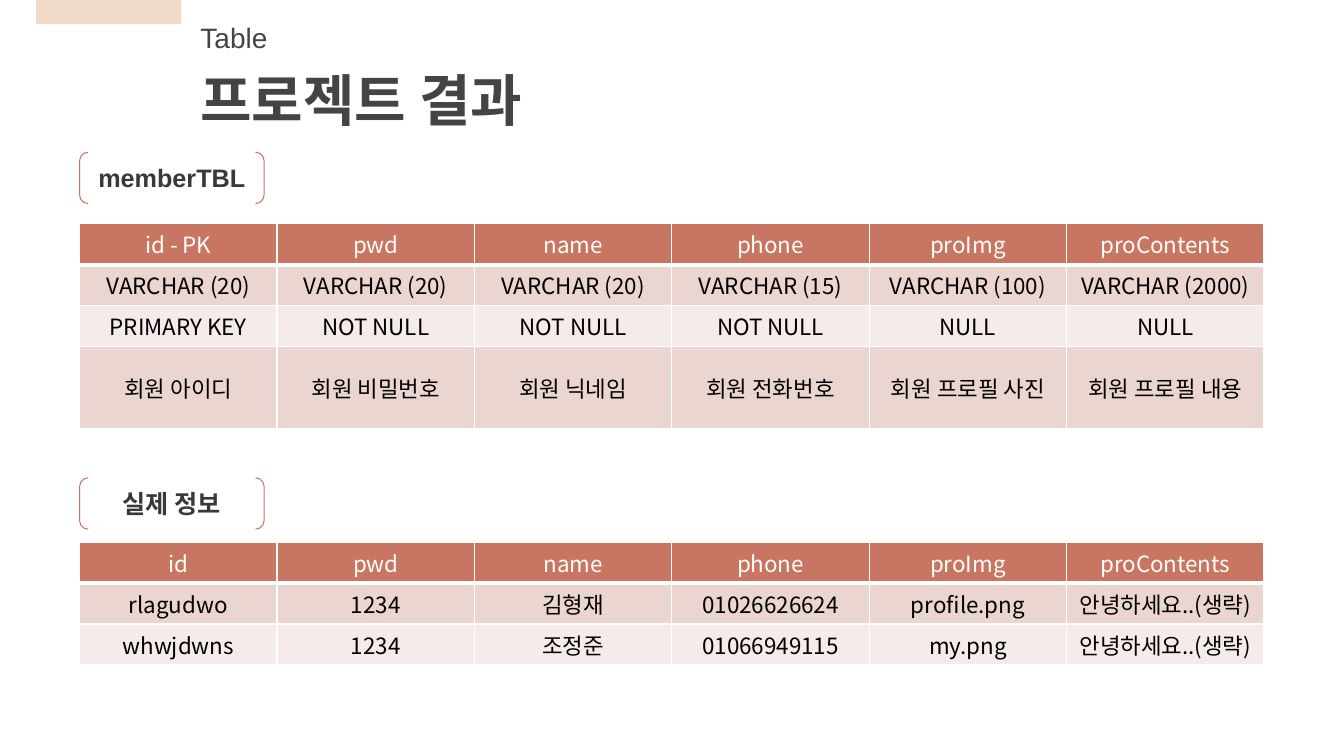
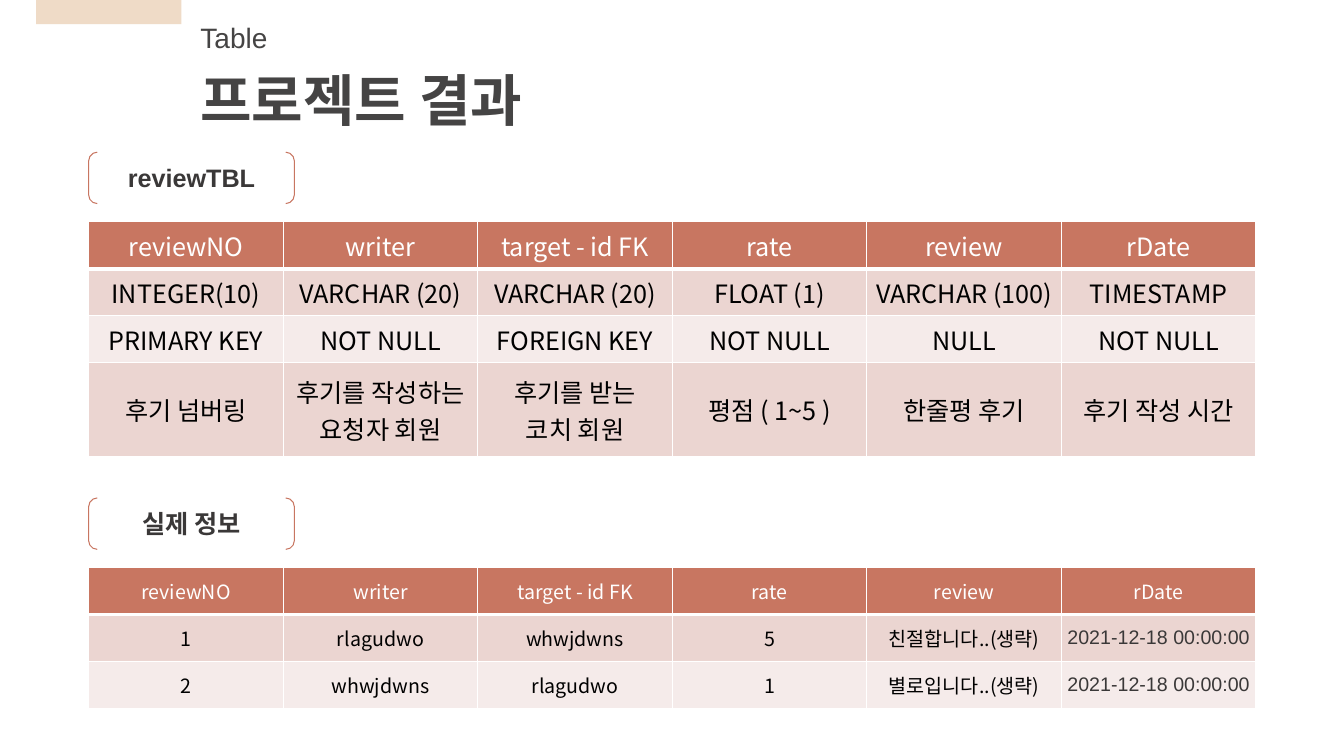
"""Builds two slides that document database tables and their sample rows."""
import pptx
import pptx.dml.color
import pptx.enum.shapes
import pptx.enum.text
import pptx.oxml
import pptx.oxml.ns
import pptx.util

RGBColor = pptx.dml.color.RGBColor
MSO_SHAPE = pptx.enum.shapes.MSO_SHAPE
PP_ALIGN = pptx.enum.text.PP_ALIGN
MSO_ANCHOR = pptx.enum.text.MSO_ANCHOR
Pt = pptx.util.Pt

WHITE = RGBColor(0xFF, 0xFF, 0xFF)
BLACK = RGBColor(0x00, 0x00, 0x00)
SAND = RGBColor(0xEF, 0xDB, 0xC7)
CLAY = RGBColor(0xC8, 0x76, 0x61)
BAND_DARK = RGBColor(0xEB, 0xD5, 0xD1)
BAND_LIGHT = RGBColor(0xF5, 0xEB, 0xEA)
TITLE_GREY = RGBColor(0x45, 0x44, 0x44)
TEXT_GREY = RGBColor(0x3A, 0x38, 0x38)

LATIN_FONT = "Arial"
KOREAN_FONT = "Noto Sans CJK KR"
GRID_COLUMNS, GRID_ROWS = 160, 90
TITLE_ONLY = 5
HEADING_LEFT = 22.68
LABEL_HEIGHT = 6.12

MEMBER_FIELDS = [
    ["id - PK", "pwd", "name", "phone", "proImg", "proContents"],
    ["VARCHAR (20)", "VARCHAR (20)", "VARCHAR (20)", "VARCHAR (15)", "VARCHAR (100)", "VARCHAR (2000)"],
    ["PRIMARY KEY", "NOT NULL", "NOT NULL", "NOT NULL", "NULL", "NULL"],
    ["회원 아이디", "회원 비밀번호", "회원 닉네임", "회원 전화번호", "회원 프로필 사진", "회원 프로필 내용"],
]
MEMBER_ROWS = [
    ["id", "pwd", "name", "phone", "proImg", "proContents"],
    ["rlagudwo", "1234", "김형재", "01026626624", "profile.png", "안녕하세요..(생략)"],
    ["whwjdwns", "1234", "조정준", "01066949115", "my.png", "안녕하세요..(생략)"],
]
REVIEW_HEADER = ["reviewNO", "writer", "target - id FK", "rate", "review", "rDate"]
REVIEW_FIELDS = [
    REVIEW_HEADER,
    ["INTEGER(10)", "VARCHAR (20)", "VARCHAR (20)", "FLOAT (1)", "VARCHAR (100)", "TIMESTAMP"],
    ["PRIMARY KEY", "NOT NULL", "FOREIGN KEY", "NOT NULL", "NULL", "NOT NULL"],
    ["후기 넘버링", "후기를 작성하는 요청자 회원", "후기를 받는\n코치 회원", "평점 ( 1~5 )", "한줄평 후기",
     "후기 작성 시간"],
]
REVIEW_ROWS = [
    REVIEW_HEADER,
    ["1", "rlagudwo", "whwjdwns", "5", "친절합니다..(생략)", "2021-12-18 00:00:00"],
    ["2", "whwjdwns", "rlagudwo", "1", "별로입니다..(생략)", "2021-12-18 00:00:00"],
]


class TableDeck:
    """Holds the deck, its style and the current slide."""

    def __init__(self):
        self.deck = pptx.Presentation()
        self.deck.slide_width = pptx.util.Inches(13.333)
        self.deck.slide_height = pptx.util.Inches(7.5)
        self.slide = None

    def across(self, columns):
        """Turns grid columns into a length."""
        return round(self.deck.slide_width * columns / GRID_COLUMNS)

    def down(self, rows):
        """Turns grid rows into a length."""
        return round(self.deck.slide_height * rows / GRID_ROWS)

    def area(self, left, top, width, height):
        """Turns a grid area into position and size."""
        return self.across(left), self.down(top), self.across(width), self.down(height)

    def add_text(self, frame, text, size, color, font=LATIN_FONT, bold=False, align=PP_ALIGN.LEFT):
        """Adds one paragraph for each line of text."""
        frame.word_wrap = True
        for index, line in enumerate(text.split("\n")):
            para = frame.add_paragraph() if index else frame.paragraphs[0]
            para.alignment = align
            span = para.add_run()
            span.text = line
            span.font.size = Pt(size)
            span.font.bold = bold
            span.font.color.rgb = color
            span.font.name = font
            east_asian = pptx.oxml.parse_xml(
                f'<a:ea {pptx.oxml.ns.nsdecls("a")} typeface="{KOREAN_FONT}"/>')
            span._r.get_or_add_rPr().append(east_asian)

    def page(self, kicker, title):
        """Starts a slide with its corner band, kicker and title."""
        self.slide = self.deck.slides.add_slide(self.deck.slide_layouts[TITLE_ONLY])
        band = self.slide.shapes.add_shape(MSO_SHAPE.RECTANGLE, *self.area(4.32, 0, 17.28, 2.88))
        band.shadow.inherit = False
        band.fill.solid()
        band.fill.fore_color.rgb = SAND
        band.line.fill.background()
        box = self.slide.shapes.add_textbox(*self.area(HEADING_LEFT, 1.8, 15.48, 5.28))
        self.add_text(box.text_frame, kicker, 20, TITLE_GREY)
        heading = self.slide.shapes.title
        heading.left, heading.top, heading.width, heading.height = self.area(HEADING_LEFT, 7.2, 52.2, 9.24)
        heading.text_frame.vertical_anchor = MSO_ANCHOR.TOP
        heading.text_frame.auto_size = pptx.enum.text.MSO_AUTO_SIZE.NONE
        self.add_text(heading.text_frame, title, 40, TITLE_GREY, bold=True)

    def label(self, text, left, top, width):
        """Adds a bracketed label."""
        bracket = self.slide.shapes.add_shape(
            MSO_SHAPE.DOUBLE_BRACKET, *self.area(left, top, width, LABEL_HEIGHT))
        bracket.shadow.inherit = False
        bracket.fill.background()
        bracket.line.color.rgb = CLAY
        bracket.line.width = Pt(0.75)
        bracket.text_frame.vertical_anchor = MSO_ANCHOR.MIDDLE
        self.add_text(bracket.text_frame, text, 18, TEXT_GREY, bold=True, align=PP_ALIGN.CENTER)

    def borders(self, cell, row):
        """Draws white cell borders, thick below the header."""
        widths = {"L": 1, "R": 1, "T": 3 if row == 1 else 1, "B": 3 if row == 0 else 1}
        for side, width in widths.items():
            cell._tc.get_or_add_tcPr().append(pptx.oxml.parse_xml(
                f'<a:ln{side} {pptx.oxml.ns.nsdecls("a")} w="{Pt(width)}">'
                f'<a:solidFill><a:srgbClr val="{WHITE}"/></a:solidFill></a:ln{side}>'))

    def table(self, cells, left, top, width, row_height, size, row_spans, date_column=None):
        """Adds a banded table with equal columns."""
        count = len(cells[0])
        frame = self.slide.shapes.add_table(
            len(cells), count, *self.area(left, top, width, row_height * sum(row_spans)))
        table = frame.table
        table.horz_banding = False
        for column in table.columns:
            column.width = self.across(width / count)
        for row, (texts, span) in enumerate(zip(cells, row_spans)):
            table.rows[row].height = self.down(row_height * span)
            fill = CLAY if row == 0 else (BAND_LIGHT, BAND_DARK)[row % 2]
            for column, text in enumerate(texts):
                cell = table.cell(row, column)
                is_date = row > 0 and column == date_column
                cell.margin_left = cell.margin_right = pptx.util.Inches(0.03)
                cell.margin_top = cell.margin_bottom = pptx.util.Inches(0 if is_date else 0.02)
                cell.vertical_anchor = MSO_ANCHOR.MIDDLE
                self.borders(cell, row)
                cell.fill.solid()
                cell.fill.fore_color.rgb = fill
                color = WHITE if row == 0 else TEXT_GREY if is_date else BLACK
                self.add_text(cell.text_frame, text, size, color,
                              LATIN_FONT if is_date else KOREAN_FONT, align=PP_ALIGN.CENTER)


def main():
    """Builds and saves the deck."""
    deck = TableDeck()
    field_spans, row_spans = (1, 1, 1, 2), (1, 1, 1)

    deck.page("Table", "프로젝트 결과")
    left, width, row_height = 9.48, 141, 4.87
    deck.label("memberTBL", left, 18.12, 21.96)
    deck.table(MEMBER_FIELDS, left, 26.64, width, row_height, 16, field_spans)
    deck.label("실제 정보", left, 56.88, 21.96)
    deck.table(MEMBER_ROWS, left, 64.56, width, row_height, 16, row_spans)

    deck.page("Table", "프로젝트 결과")
    left, width, row_height = 10.56, 138.96, 5.6
    deck.label("reviewTBL", left, 18.12, 24.48)
    deck.table(REVIEW_FIELDS, left, 26.4, width, row_height, 18, field_spans)
    deck.label("실제 정보", left, 59.28, 24.48)
    deck.table(REVIEW_ROWS, left, 67.56, width, row_height, 14, row_spans, date_column=5)

    deck.deck.save("out.pptx")


if __name__ == "__main__":
    main()
